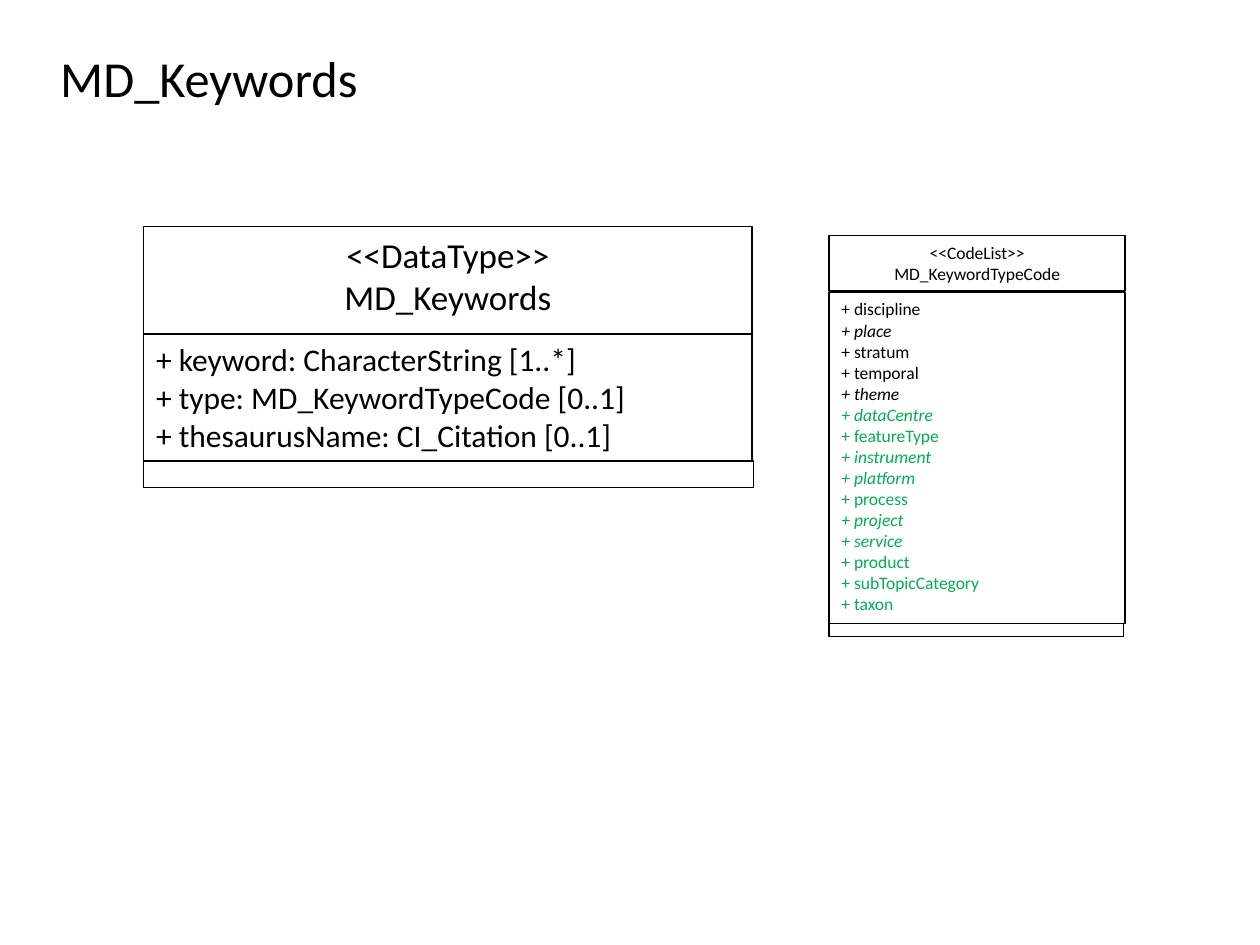
from pptx import Presentation
from pptx.dml.color import RGBColor
from pptx.enum.shapes import MSO_SHAPE as Shape
from pptx.enum.text import MSO_ANCHOR as Anchor, PP_ALIGN as Align
from pptx.util import Inches, Pt

HUES = {"black": "000000", "white": "FFFFFF", "green": "00B050"}


def write(frame, rows, size, align=Align.LEFT):
    frame.word_wrap = True
    for i, (text, hue, slant) in enumerate(rows):
        para = frame.paragraphs[0] if i == 0 else frame.add_paragraph()
        para.alignment = align
        run = para.add_run()
        run.text = text
        run.font.name = "Calibri"
        run.font.size = Pt(size)
        run.font.italic = slant
        run.font.color.rgb = RGBColor.from_string(HUES[hue])


def draw_box(left, top, width, height, fill):
    box = slide.shapes.add_shape(
        Shape.RECTANGLE, Inches(left), Inches(top), Inches(width), Inches(height))
    box.shadow.inherit = False
    if fill:
        box.fill.solid()
        box.fill.fore_color.rgb = RGBColor.from_string(HUES[fill])
    else:
        box.fill.background()
    box.line.color.rgb = RGBColor.from_string(HUES["black"])
    box.line.width = Pt(0.75)
    box.text_frame.vertical_anchor = Anchor.TOP
    return box.text_frame


deck = Presentation()
deck.slide_width = Inches(10)
deck.slide_height = Inches(7.5)
slide = deck.slides.add_slide(deck.slide_layouts[6])

title = slide.shapes.add_textbox(
    Inches(0.38), Inches(0.31), Inches(9), Inches(0.61)).text_frame
title.vertical_anchor = Anchor.MIDDLE
write(title, [("MD_Keywords", "black", False)], 28.8)

fields = [
    "keyword: CharacterString [1..*]",
    "type: MD_KeywordTypeCode [0..1]",
    "thesaurusName: CI_Citation [0..1]",
]
base = ["discipline", "place", "stratum", "temporal", "theme"]
added = ["dataCentre", "featureType", "instrument", "platform", "process",
         "project", "service", "product", "subTopicCategory", "taxon"]
slanted = {"place", "theme", "dataCentre", "instrument", "platform",
           "project", "service"}
codes = [("+ " + name, hue, name in slanted)
         for hue, names in (("black", base), ("green", added))
         for name in names]

tables = [
    (["<<DataType>>", "MD_Keywords"], 20,
     [("+ " + name, "black", False) for name in fields], 18, "white",
     [(1.14, 1.8, 4.83, 1.18), (1.14, 2.65, 4.83, 1.01), (1.14, 3.66, 4.84, 0.21)]),
    (["<<CodeList>>", "MD_KeywordTypeCode"], 10, codes, 10, None,
     [(6.58, 1.87, 2.35, 0.44), (6.58, 2.32, 2.35, 2.63), (6.58, 4.95, 2.34, 0.1)]),
]
for heads, big, rows, small, fill, (top, body, foot) in tables:
    write(draw_box(*top, fill), [(text, "black", False) for text in heads],
          big, Align.CENTER)
    write(draw_box(*body, fill), rows, small)
    draw_box(*foot, fill)

deck.save("out.pptx")
